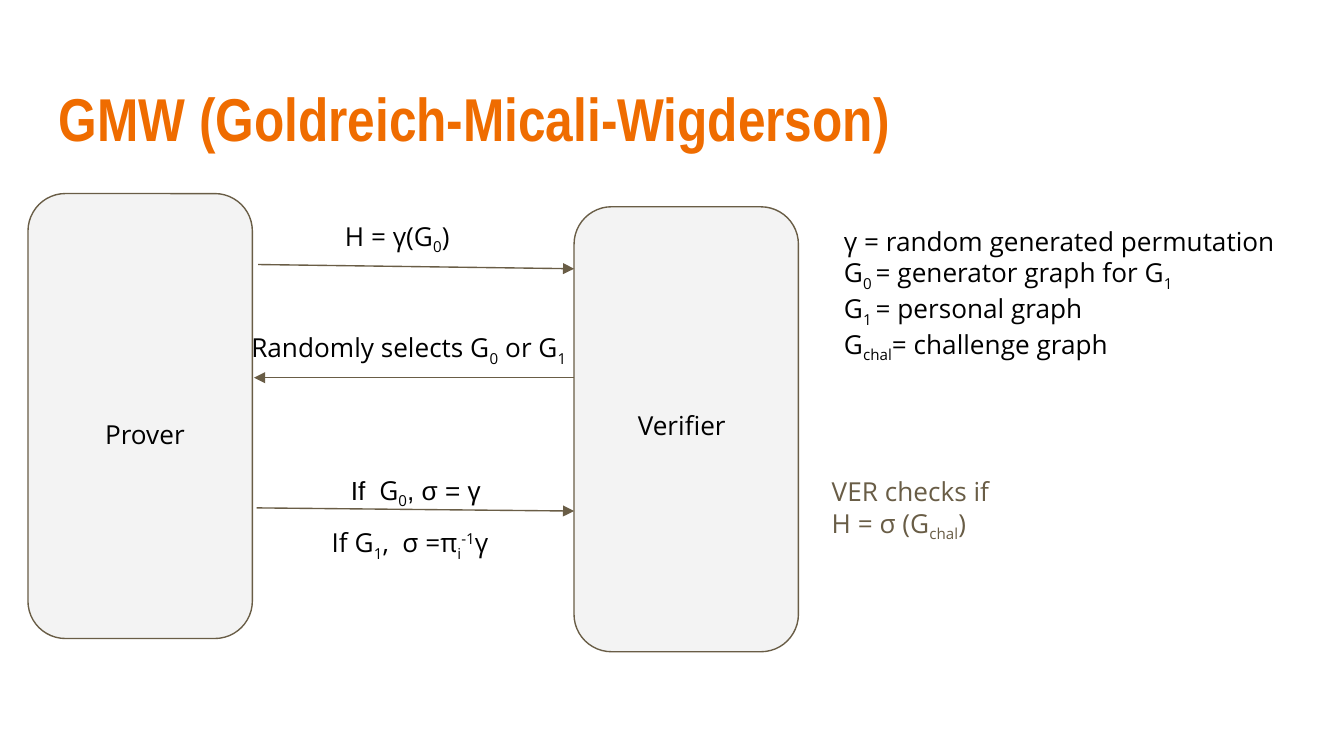
from dataclasses import dataclass
from typing import NamedTuple

from lxml import etree
from pptx import Presentation
from pptx import util as u
from pptx.dml.color import RGBColor
from pptx.enum import shapes, text
from pptx.oxml.ns import qn


@dataclass(frozen=True)
class Theme:
    title: RGBColor = RGBColor(0xEF, 0x6C, 0x00)
    ink: RGBColor = RGBColor(0, 0, 0)
    accent: RGBColor = RGBColor(0x69, 0x5D, 0x46)
    panel: RGBColor = RGBColor(0xF3, 0xF3, 0xF3)
    title_font: str = "Arial Narrow"
    body_font: str = "Open Sans"
    alt_font: str = "Arial"
    title_size: float = 32.4
    body_size: float = 14
    line_width: float = 0.75


T = Theme()
SUB, SUP = -25, 30


class Run(NamedTuple):
    text: str
    base: int = 0
    font: str = T.body_font


class Box(NamedTuple):
    left: float
    top: float
    width: float
    height: float


@dataclass(frozen=True)
class Label:
    box: Box
    paragraphs: list[list[Run]]
    color: RGBColor = T.ink
    size: float = T.body_size
    bold: bool = False
    align: text.PP_ALIGN = text.PP_ALIGN.LEFT
    anchor: text.MSO_ANCHOR = text.MSO_ANCHOR.TOP
    fit: text.MSO_AUTO_SIZE = text.MSO_AUTO_SIZE.SHAPE_TO_FIT_TEXT
    indent: float = 0
    spacing: float = 1.0


class Arrow(NamedTuple):
    x1: float
    y1: float
    x2: float
    y2: float


def lengths(values: tuple) -> list[u.Cm]:
    return [u.Cm(v) for v in values]


def apply(target, values: dict) -> None:
    for name, value in values.items():
        setattr(target, name, value)


def draw_line_style(line) -> None:
    line.color.rgb = T.accent
    line.width = u.Pt(T.line_width)


def draw_panel(s, box: Box) -> None:
    sp = s.shapes.add_shape(shapes.MSO_SHAPE.ROUNDED_RECTANGLE, *lengths(box))
    sp.shadow.inherit = False
    sp.fill.solid()
    sp.fill.fore_color.rgb = T.panel
    draw_line_style(sp.line)


def draw_arrow(s, arrow: Arrow) -> None:
    cx = s.shapes.add_connector(shapes.MSO_CONNECTOR.STRAIGHT, *lengths(arrow))
    draw_line_style(cx.line)
    etree.SubElement(cx.line._get_or_add_ln(), qn("a:tailEnd"), type="triangle")
    etree.SubElement(cx._element.spPr, qn("a:effectLst"))


def draw_label(s, label: Label) -> None:
    tf = s.shapes.add_textbox(*lengths(label.box)).text_frame
    margins = dict.fromkeys(
        ("margin_left", "margin_top", "margin_right", "margin_bottom"), u.Cm(0.25))
    apply(tf, {"word_wrap": True, "auto_size": label.fit,
               "vertical_anchor": label.anchor, **margins})
    for i, runs in enumerate(label.paragraphs):
        p = tf.add_paragraph() if i else tf.paragraphs[0]
        apply(p, {"alignment": label.align, "line_spacing": label.spacing})
        if label.indent:
            pPr = p._p.get_or_add_pPr()
            pPr.set("marL", str(u.Cm(label.indent)))
            pPr.set("indent", "0")
        for run in runs:
            r = p.add_run()
            r.text = run.text
            apply(r.font, {"name": run.font, "size": u.Pt(label.size),
                           "bold": label.bold})
            r.font.color.rgb = label.color
            if run.base:
                r._r.get_or_add_rPr().set("baseline", str(run.base * 1000))


PANELS = [Box(0.53, 3.66, 4.24, 8.41), Box(10.85, 3.91, 4.24, 8.41)]

ARROWS = [
    Arrow(4.88, 5, 10.85, 5.08),
    Arrow(10.85, 7.14, 4.8, 7.14),
    Arrow(4.85, 9.6, 10.85, 9.66),
]

LABELS = [
    Label(Box(0.86, 1.24, 23.67, 1.96),
          [[Run("GMW (Goldreich-Micali-Wigderson)", font=T.title_font)]],
          color=T.title, size=T.title_size, bold=True,
          anchor=text.MSO_ANCHOR.MIDDLE, fit=text.MSO_AUTO_SIZE.NONE),
    Label(Box(1.32, 7.65, 2.84, 1.12), [[Run("Prover")]],
          align=text.PP_ALIGN.CENTER),
    Label(Box(11.68, 7.49, 2.41, 1.12), [[Run("Verifier")]],
          align=text.PP_ALIGN.CENTER),
    Label(Box(6.27, 3.91, 3.07, 1.12),
          [[Run("H = γ(G"), Run("0", SUB), Run(")")]]),
    Label(Box(4.5, 6.02, 6.73, 1.12),
          [[Run("Randomly selects G"), Run("0", SUB), Run(" or G"), Run("1", SUB)]]),
    Label(Box(5.11, 8.61, 4.8, 1.12),
          [[Run("If ", font=T.alt_font), Run(" G"), Run("0", SUB),
            Run(", σ = γ", font=T.alt_font)]],
          indent=1.27, spacing=1.15),
    Label(Box(4.75, 9.6, 6.91, 1.8),
          [[Run("If G"), Run("1", SUB), Run(",  σ =π"), Run("i", SUB),
            Run("-1", SUP), Run("γ")]],
          indent=1.27, spacing=1.15),
    Label(Box(15.47, 8.74, 8.53, 1.7),
          [[Run("VER checks if")],
           [Run("H = σ (G"), Run("chal", SUB), Run(")")]],
          color=T.accent),
    Label(Box(15.7, 4.01, 9.12, 2.9),
          [[Run("γ = random generated permutation")],
           [Run("G"), Run("0 ", SUB), Run("= generator graph for G"), Run("1", SUB)],
           [Run("G"), Run("1 ", SUB), Run("= personal graph")],
           [Run("G"), Run("chal", SUB), Run("= challenge graph")]]),
]


def main() -> None:
    prs = Presentation()
    apply(prs, {"slide_width": u.Cm(25.4), "slide_height": u.Cm(14.29)})
    s = prs.slides.add_slide(prs.slide_layouts[6])
    for draw, items in ((draw_panel, PANELS), (draw_arrow, ARROWS),
                        (draw_label, LABELS)):
        for item in items:
            draw(s, item)
    prs.save("out.pptx")


if __name__ == "__main__":
    main()
